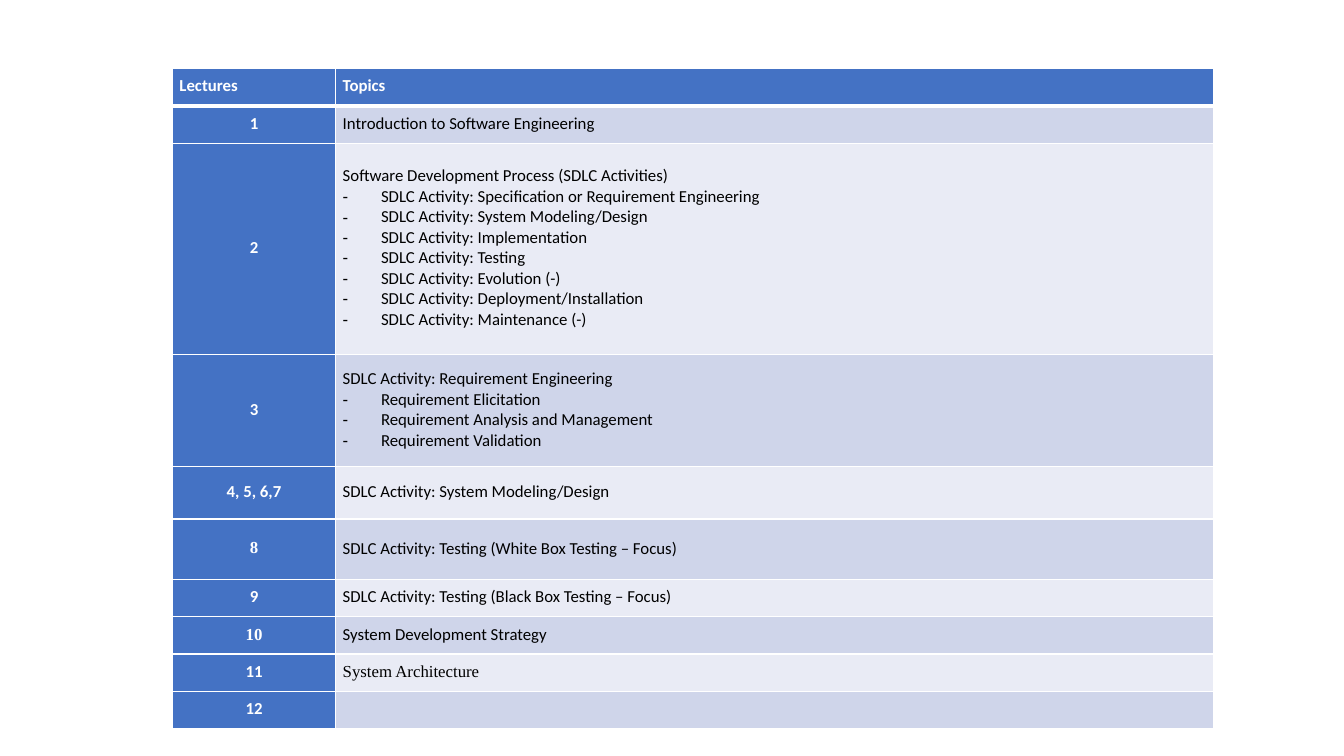
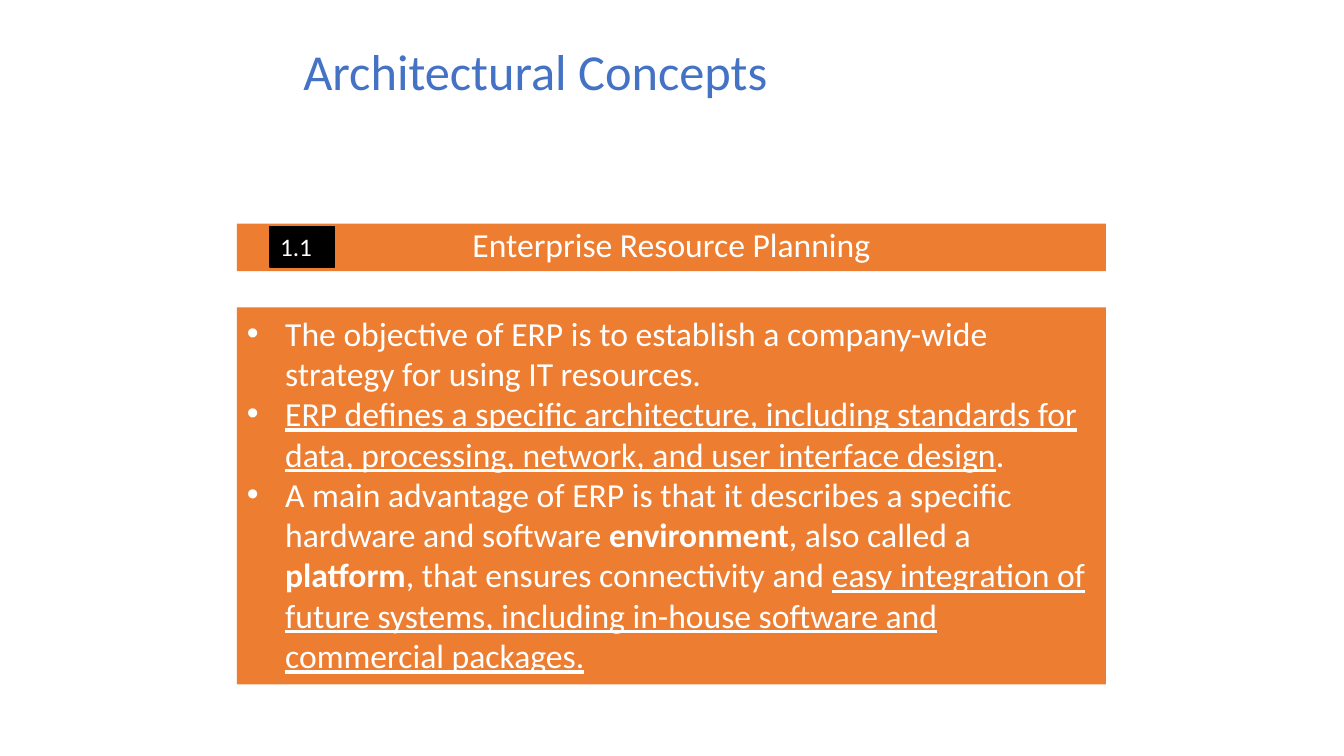
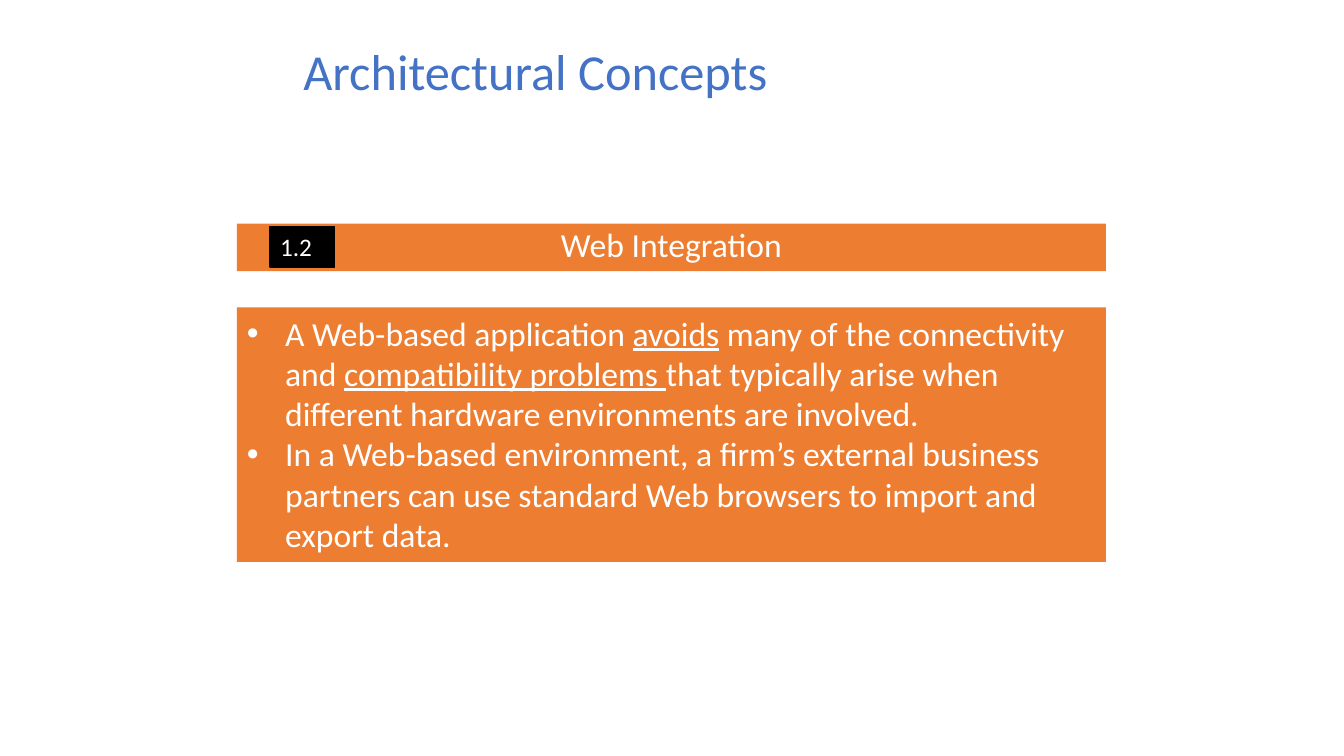
from dataclasses import dataclass
from lxml import etree
from pptx import Presentation
from pptx.dml.color import RGBColor
from pptx.enum import shapes, text
from pptx.oxml import ns
from pptx import util as u


@dataclass(frozen=True)
class Theme:
    blue: str = "4472C4"
    orange: str = "ED7D31"
    white: str = "FFFFFF"
    black: str = "000000"
    bands: tuple = ("CFD5EA", "E9EBF5")
    sans: str = "Calibri"
    serif: str = "Times New Roman"
    title: int = 36
    body: int = 24
    tag: int = 18
    cell: int = 12
    indent: float = 0.38
    rule: int = 1
    heavy: int = 3


T = Theme()
WIDE, HIGH = u.Inches(13.33), u.Inches(7.5)

HEAD = ("Lectures", "Topics")
ROW = 4.93
PLAN = [
    ("1", ["Introduction to Software Engineering"], ROW),
    ("2", ["Software Development Process (SDLC Activities)",
           "SDLC Activity: Specification or Requirement Engineering",
           "SDLC Activity: System Modeling/Design",
           "SDLC Activity: Implementation",
           "SDLC Activity: Testing",
           "SDLC Activity: Evolution (-)",
           "SDLC Activity: Deployment/Installation",
           "SDLC Activity: Maintenance (-)"], 28),
    ("3", ["SDLC Activity: Requirement Engineering",
           "Requirement Elicitation",
           "Requirement Analysis and Management",
           "Requirement Validation"], 14.8),
    ("4, 5, 6,7", ["SDLC Activity: System Modeling/Design"], 6.93),
    ("8", ["SDLC Activity: Testing (White Box Testing – Focus)"], 8),
    ("9", ["SDLC Activity: Testing (Black Box Testing – Focus)"], ROW),
    ("10", ["System Development Strategy"], ROW),
    ("11", ["System Architecture"], ROW),
    ("12", [""], ROW),
]
SERIF = {"8", "10", "System Architecture"}

TITLE = "Architectural Concepts"
TOPICS = [
    ("1.1", "Enterprise Resource Planning", 9, [
        [("The objective of ERP is to establish a company-wide strategy "
          "for using IT resources.", "")],
        [("ERP defines a specific architecture, including standards for data, "
          "processing, network, and user interface design", "u"), (".", "")],
        [("A main advantage of ERP is that it describes a specific hardware "
          "and software ", ""), ("environment", "b"), (", also called a ", ""),
         ("platform", "b"), (", that ensures connectivity and ", ""),
         ("easy integration of future systems, including in-house software "
          "and commercial packages.", "u")],
    ]),
    ("1.2", "Web Integration", 6, [
        [("A Web-based application ", ""), ("avoids", "u"),
         (" many of the connectivity and ", ""),
         ("compatibility problems ", "u"),
         ("that typically arise when different hardware environments "
          "are involved.", "")],
        [("In a Web-based environment, a firm’s external business partners "
          "can use standard Web browsers to import and export data.", "")],
    ]),
]


def rgb(tint):
    return RGBColor.from_string(tint)


def place(x, y, w, h):
    return [u.Emu(int(part * size / 100)) for part, size in
            zip((x, y, w, h), (WIDE, HIGH, WIDE, HIGH))]


def bullet(para, mark):
    props = para._p.get_or_add_pPr()
    props.set("marL", str(u.Inches(T.indent)))
    props.set("indent", str(-u.Inches(T.indent)))
    etree.SubElement(props, ns.qn("a:buFont")).set("typeface", "Arial")
    etree.SubElement(props, ns.qn("a:buChar")).set("char", mark)


def style(para, size, tint, face=T.sans, bold=False, align="LEFT"):
    para.alignment = getattr(text.PP_ALIGN, align)
    font = para.font
    font.size, font.name, font.bold = u.Pt(size), face, bold
    font.color.rgb = rgb(tint)


def paras(frame, count):
    return [frame.paragraphs[0]] + [frame.add_paragraph()
                                    for _ in range(count - 1)]


def border(cell, low):
    props = cell._tc.get_or_add_tcPr()
    for i, side in enumerate("LRTB"):
        line = etree.Element(ns.qn("a:ln" + side))
        wide = low if side == "B" else T.rule
        line.set("w", str(u.Pt(wide)))
        fill = etree.SubElement(line, ns.qn("a:solidFill"))
        etree.SubElement(fill, ns.qn("a:srgbClr")).set("val", T.white)
        props.insert(i, line)


def fill_cell(cell, lines, back, tint, bold, align="LEFT", low=T.rule):
    cell.fill.solid()
    cell.fill.fore_color.rgb = rgb(back)
    cell.vertical_anchor = text.MSO_ANCHOR.MIDDLE
    cell.margin_left = cell.margin_right = u.Inches(0.07)
    cell.margin_top, cell.margin_bottom = u.Inches(0.04), u.Inches(0.06)
    border(cell, low)
    for i, para in enumerate(paras(cell.text_frame, len(lines))):
        if i:
            bullet(para, "-")
        if lines[i]:
            para.add_run().text = lines[i]
        face = T.serif if lines[i] in SERIF else T.sans
        style(para, T.cell, tint, face, bold, align)


def schedule(slide):
    cols = (12.15, 65.34)
    rows = [ROW] + [high for _, _, high in PLAN]
    area = place(12.83, 9.07, sum(cols), sum(rows))
    grid = slide.shapes.add_table(len(rows), len(cols), *area).table
    for col, wide in zip(grid.columns, cols):
        col.width = int(wide * WIDE / 100)
    for row, high in zip(grid.rows, rows):
        row.height = int(high * HIGH / 100)
    for i, name in enumerate(HEAD):
        fill_cell(grid.cell(0, i), [name], T.blue, T.white, True, low=T.heavy)
    for i, (num, lines, _) in enumerate(PLAN):
        fill_cell(grid.cell(i + 1, 0), [num], T.blue, T.white, True, "CENTER")
        fill_cell(grid.cell(i + 1, 1), lines, T.bands[i % 2], T.black, False)


def panel(slide, area, tint, edge=False):
    box = slide.shapes.add_shape(shapes.MSO_SHAPE.RECTANGLE, *place(*area))
    box.shadow.inherit = False
    box.fill.solid()
    box.fill.fore_color.rgb = rgb(tint)
    if edge:
        box.line.color.rgb = rgb(tint)
        box.line.width = u.Pt(T.rule)
    else:
        box.line.fill.background()
    frame = box.text_frame
    frame.word_wrap = True
    frame.vertical_anchor = text.MSO_ANCHOR.TOP
    return frame


def label(frame, words, size, tint, align="LEFT", gap=1.0):
    para = frame.paragraphs[0]
    para.add_run().text = words
    para.line_spacing = gap
    style(para, size, tint, align=align)


def topic(slide, num, name, lines, points):
    left, wide = 17.63, 64.65
    head = slide.shapes.add_textbox(*place(21.83, 5.33, 60.54, 9.07)).text_frame
    head.word_wrap = True
    head.vertical_anchor = text.MSO_ANCHOR.MIDDLE
    label(head, TITLE, T.title, T.blue, gap=0.9)
    bar = panel(slide, (left, 29.6, wide, 6.27), T.orange)
    label(bar, name, T.body, T.white, "CENTER", 0.9)
    body = panel(slide, (left, 40.67, wide, 1.33 + 5.39 * lines), T.orange)
    for para, runs in zip(paras(body, len(points)), points):
        bullet(para, "•")
        style(para, T.body, T.white)
        for words, mark in runs:
            run = para.add_run()
            run.text = words
            if mark == "u":
                run.font.underline = True
            elif mark == "b":
                run.font.bold = True
    tag = panel(slide, (20.1, 30, 4.8, 5.33), T.black, True)
    label(tag, num, T.tag, T.white)


def main():
    deck = Presentation()
    deck.slide_width, deck.slide_height = WIDE, HIGH
    blank = deck.slide_layouts[6]
    schedule(deck.slides.add_slide(blank))
    for item in TOPICS:
        topic(deck.slides.add_slide(blank), *item)
    deck.save("out.pptx")


if __name__ == "__main__":
    main()
